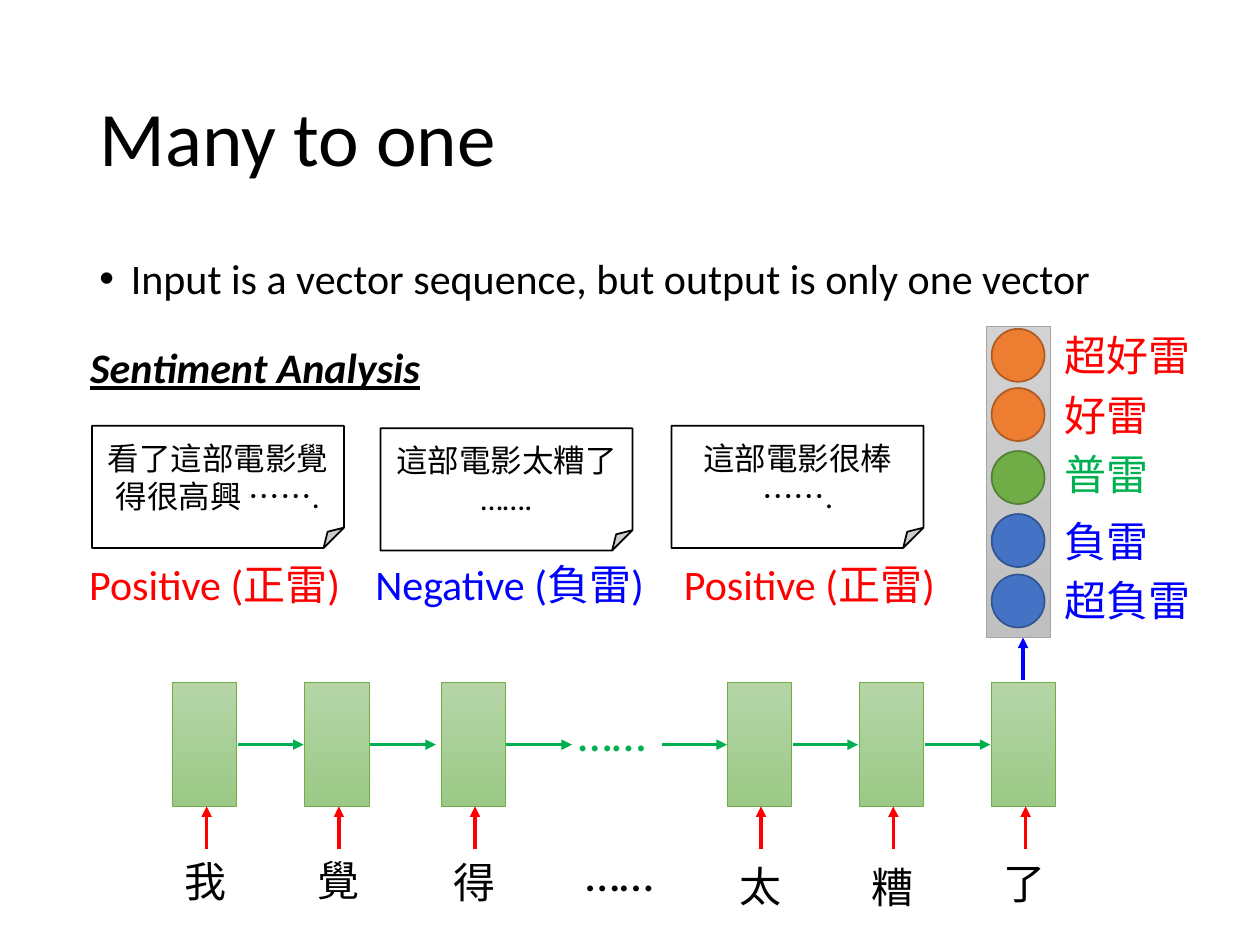
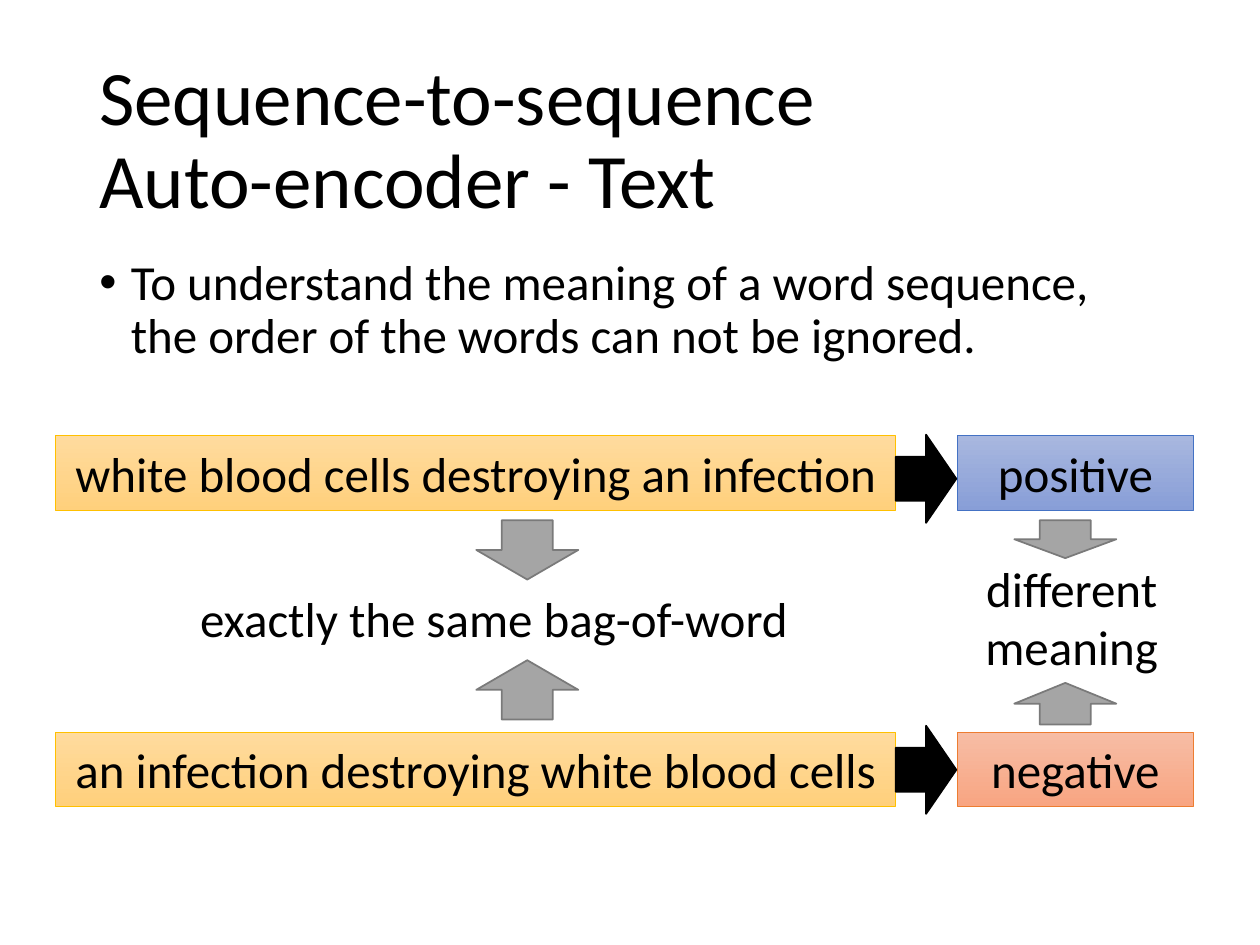
from lxml.etree import SubElement
from pptx import Presentation
from pptx.dml.color import RGBColor
from pptx.enum.shapes import MSO_CONNECTOR, MSO_SHAPE
from pptx.enum.text import MSO_ANCHOR, MSO_AUTO_SIZE, PP_ALIGN
from pptx.oxml.ns import qn
from pptx.util import Inches, Pt

BLACK, WHITE, RED, BLUE, GREEN = "000000", "FFFFFF", "FF0000", "0000FF", "00B050"
ORANGE_DOT = ("ED7D31", "AF5C24")
GREEN_DOT = ("70AD47", "538035")
BLUE_DOT = ("4472C4", "325491")

# Gradient fills: top colour, bottom colour, outline
CELL = ("B5D5A7", "9CC987", "70AD47")
VECTOR = ("D2D2D2", "C0C0C0", "A5A5A5")
PHRASE = ("FFDB9E", "FFD07C", "FFC000")
POSITIVE = ("A8B7DF", "889ED7", "4472C4")
NEGATIVE = ("F7BDA5", "F8A582", "ED7D31")


def rgb(hex_colour):
    return RGBColor.from_string(hex_colour)


class Deck:
    """Holds the shared style and the slide being filled."""

    font = "Calibri"

    def __init__(self):
        self.prs = Presentation()
        self.prs.slide_width, self.prs.slide_height = Inches(10), Inches(7.5)
        self.slide = None

    def new_slide(self, title, point, point_size):
        self.slide = self.prs.slides.add_slide(self.prs.slide_layouts[6])
        heading = self.text(title, 0.69, 0.4, 8.62, 1.45, size=44, grow=False)
        heading.vertical_anchor = MSO_ANCHOR.MIDDLE
        body = self.text(point, 0.69, 2, 8.62, 4.76, size=point_size, grow=False)
        for frame in (heading, body):
            frame.paragraphs[0].line_spacing = 0.9
        self.bullet(body.paragraphs[0])

    def bullet(self, paragraph):
        props = paragraph._p.get_or_add_pPr()
        props.set("marL", str(Inches(0.25)))
        props.set("indent", str(-Inches(0.25)))
        SubElement(props, qn("a:buFont"), typeface="Arial")
        SubElement(props, qn("a:buChar"), char="•")

    def fill_frame(self, frame, lines, size, colour=BLACK, align=PP_ALIGN.LEFT, **extra):
        """Put one paragraph per item of lines; \\v inside an item breaks the line."""
        style = {"name": self.font, "size": Pt(size), **extra}
        for index, line in enumerate([lines] if isinstance(lines, str) else lines):
            paragraph = frame.add_paragraph() if index else frame.paragraphs[0]
            paragraph.text = line
            paragraph.alignment = align
            for run in paragraph.runs:
                run.font.color.rgb = rgb(colour)
                for name, value in style.items():
                    setattr(run.font, name, value)

    def text(self, lines, left, top, width, height=0.5, size=24, wrap=True, grow=True, **style):
        box = self.slide.shapes.add_textbox(*map(Inches, (left, top, width, height)))
        frame = box.text_frame
        frame.word_wrap = wrap
        if grow:
            frame.auto_size = MSO_AUTO_SIZE.SHAPE_TO_FIT_TEXT
        self.fill_frame(frame, lines, size, **style)
        return frame

    def shape(self, kind, left, top, width, height, fill, line, lines=None, size=28, weight=1):
        figure = self.slide.shapes.add_shape(kind, *map(Inches, (left, top, width, height)))
        figure.shadow.inherit = False
        figure.fill.solid()
        figure.fill.fore_color.rgb = rgb(fill)
        figure.line.color.rgb = rgb(line)
        figure.line.width = Pt(weight)
        if lines:
            figure.text_frame.word_wrap = True
            figure.text_frame.vertical_anchor = MSO_ANCHOR.MIDDLE
            self.fill_frame(figure.text_frame, lines, size, align=PP_ALIGN.CENTER)
        return figure

    def gradient_box(self, left, top, width, height, colours, lines=None):
        upper, lower, line = colours
        box = self.shape(MSO_SHAPE.RECTANGLE, left, top, width, height, upper, line, lines, weight=0.5)
        box.fill.gradient()
        box.fill.gradient_angle = 270
        for stop, colour, position in zip(box.fill.gradient_stops, (upper, lower), (0, 1)):
            stop.color.rgb = rgb(colour)
            stop.position = position

    def arrow(self, x1, y1, x2, y2, colour):
        link = self.slide.shapes.add_connector(
            MSO_CONNECTOR.STRAIGHT, *map(Inches, (x1, y1, x2, y2)))
        link.line.color.rgb = rgb(colour)
        link.line.width = Pt(2)
        props = link._element.spPr
        SubElement(props.find(qn("a:ln")), qn("a:tailEnd"), type="triangle")
        SubElement(props, qn("a:effectLst"))


def many_to_one(deck):
    deck.new_slide("Many to one", "Input is a vector sequence, but output is only one vector", 24)
    deck.text("Sentiment Analysis", 0.54, 2.66, 2.97, align=PP_ALIGN.CENTER,
              bold=True, italic=True, underline=True)

    # Recurrent cells, one per word: word, cell left, word top
    words = [("我", 1.37, 6.74), ("覺", 2.42, 6.73), ("得", 3.5, 6.75),
             ("太", 5.77, 6.78), ("糟", 6.82, 6.79), ("了", 7.87, 6.76)]
    for word, left, word_top in words:
        deck.gradient_box(left, 5.42, 0.51, 0.98, CELL)
        deck.arrow(left + 0.27, 6.74, left + 0.27, 6.4, RED)
        deck.text(word, left, word_top, 0.54, wrap=False)
    state_starts = [left + 0.52 for _, left, _ in words[:-1]] + [5.25]
    for start in state_starts:
        deck.arrow(start, 5.91, start + 0.52, 5.91, GREEN)
    deck.text("……", 4.49, 5.53, 1.21, 0.57, size=28, colour=GREEN)
    deck.text("……", 4.55, 6.64, 1.21, 0.57, size=28)
    deck.arrow(8.12, 5.4, 8.12, 5.06, BLUE)

    # Output vector: rating, text colour, dot colours, dot top, rating top
    deck.gradient_box(7.83, 2.59, 0.51, 2.47, VECTOR)
    ratings = [("超好雷", RED, ORANGE_DOT, 2.61, 2.57), ("好雷", RED, ORANGE_DOT, 3.08, 3.04),
               ("普雷", GREEN, GREEN_DOT, 3.58, 3.51), ("負雷", BLUE, BLUE_DOT, 4.08, 4.04),
               ("超負雷", BLUE, BLUE_DOT, 4.56, 4.51)]
    for rating, colour, dot, dot_top, rating_top in ratings:
        deck.shape(MSO_SHAPE.OVAL, 7.87, dot_top, 0.42, 0.42, *dot)
        deck.text(rating, 8.35, rating_top, 0.21 + 0.33 * len(rating), wrap=False, colour=colour)

    # Reviews: text, note left and top, verdict, verdict left, colour
    reviews = [("看了這部電影覺得很高興 …….", 0.73, 3.38, "Positive (正雷)", 0.61, RED),
               (["這部電影太糟了", "……."], 3.02, 3.4, "Negative (負雷)", 2.88, BLUE),
               ("這部電影很棒 …….", 5.33, 3.38, "Positive (正雷)", 5.33, RED)]
    for review, left, top, verdict, verdict_left, colour in reviews:
        deck.shape(MSO_SHAPE.FOLDED_CORNER, left, top, 2, 0.97, WHITE, BLACK, review, size=18)
        deck.text(verdict, verdict_left, 4.38, 2.35, colour=colour)


def text_auto_encoder(deck):
    deck.new_slide("Sequence-to-sequence\vAuto-encoder - Text",
                   "To understand the meaning of a word sequence, "
                   "the order of the words can not be ignored.", 28)
    examples = [("white blood cells destroying an infection", "positive", POSITIVE, 3.46, 3.45),
                ("an infection destroying white blood cells", "negative", NEGATIVE, 5.81, 5.76)]
    for phrase, sentiment, colours, top, arrow_top in examples:
        deck.gradient_box(0.44, top, 6.67, 0.59, PHRASE, phrase)
        deck.gradient_box(7.6, top, 1.87, 0.59, colours, sentiment)
        deck.shape(MSO_SHAPE.RIGHT_ARROW, 7.11, arrow_top, 0.48, 0.7, BLACK, BLACK)

    deck.text("exactly the same bag-of-word", 1.47, 4.62, 4.9, 0.57, size=28, align=PP_ALIGN.CENTER)
    deck.text(["different", "meaning"], 7.45, 4.38, 2.11, 1.04, size=28, align=PP_ALIGN.CENTER)
    for kind, left, top, height in [(MSO_SHAPE.DOWN_ARROW, 3.78, 4.13, 0.47),
                                    (MSO_SHAPE.UP_ARROW, 3.78, 5.24, 0.47),
                                    (MSO_SHAPE.DOWN_ARROW, 8.05, 4.13, 0.3),
                                    (MSO_SHAPE.UP_ARROW, 8.05, 5.42, 0.33)]:
        deck.shape(kind, left, top, 0.81, height, "A5A5A5", "7A7A7A")


def main():
    deck = Deck()
    many_to_one(deck)
    text_auto_encoder(deck)
    deck.prs.save("out.pptx")


if __name__ == "__main__":
    main()
